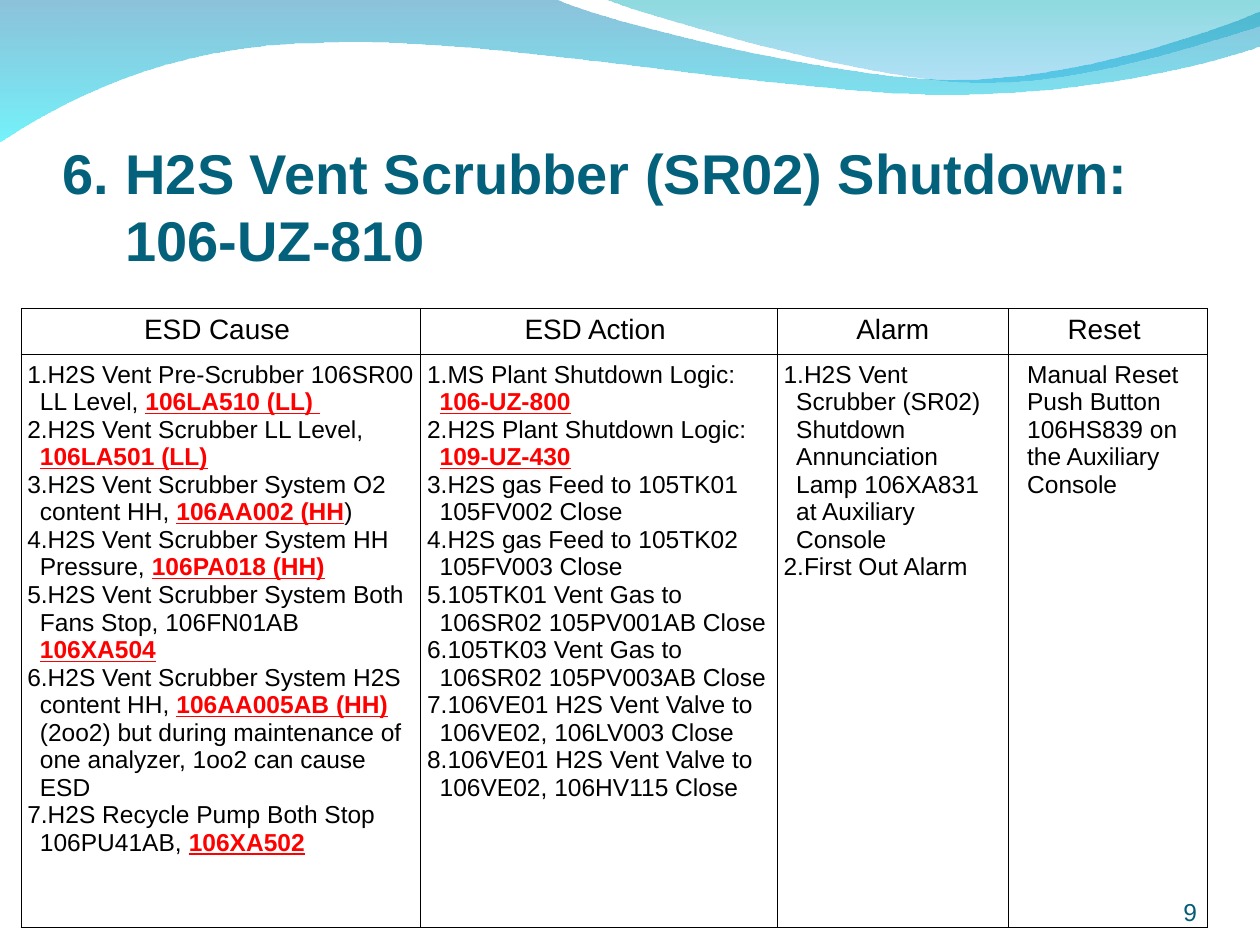
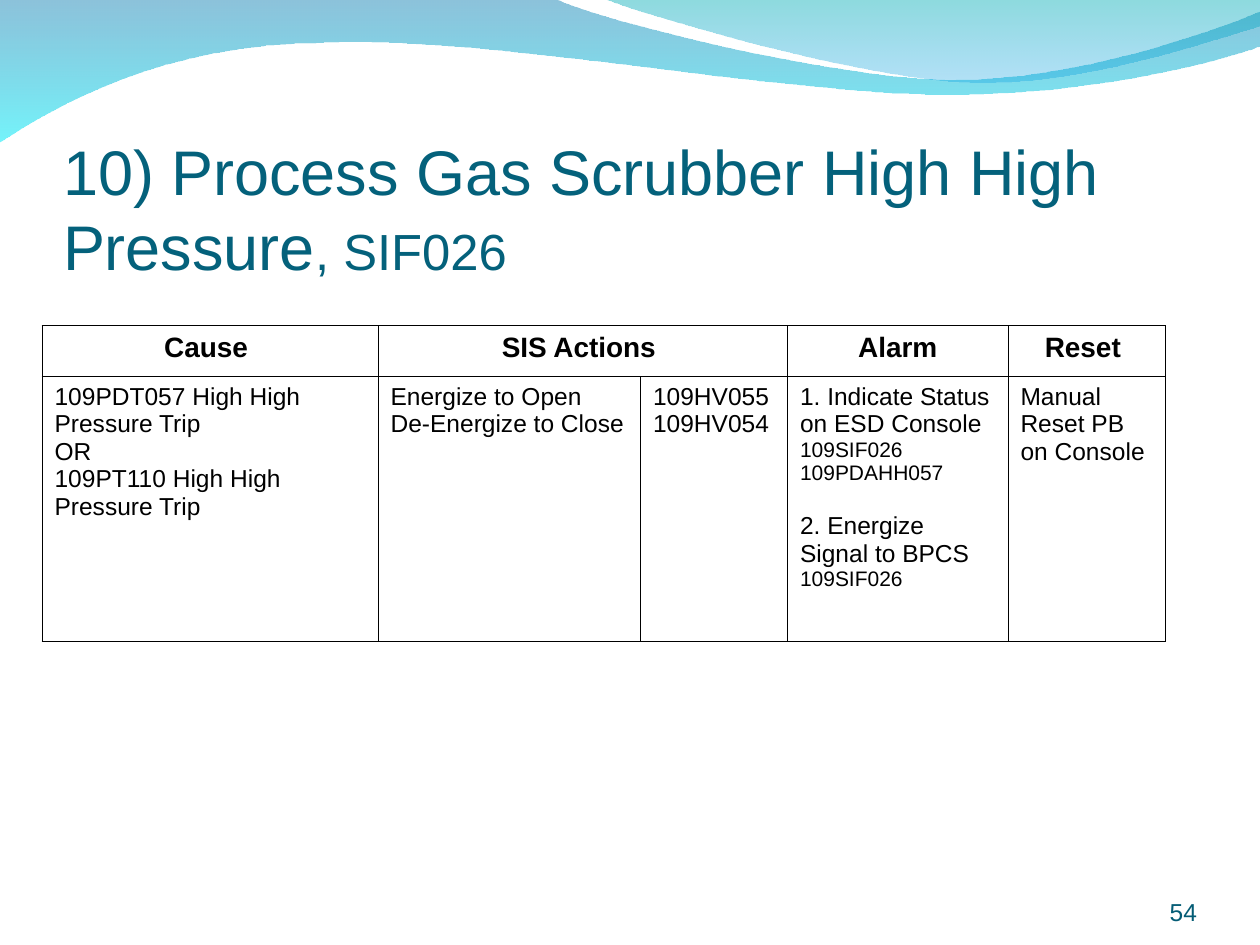
"""Build two shutdown-logic slides with a wave header, a title and a table."""
from dataclasses import dataclass
from typing import NamedTuple

from lxml import etree
from pptx import Presentation
from pptx.dml.color import RGBColor
from pptx.enum import text as enum_text
from pptx.oxml import ns
from pptx.util import Pt


@dataclass(frozen=True)
class Theme:
    """Colours, font and type sizes used on every slide."""
    font: str = "Arial"
    title: str = "04617B"
    number: str = "045C75"
    body: str = "000000"
    alert: str = "FF0000"
    title_size: float = 32
    title_large: float = 36
    title_note: float = 29
    header_size: float = 16
    body_size: float = 14
    small_size: float = 12
    border: float = 0.45


THEME = Theme()
ALIGN = enum_text.PP_ALIGN


class Span(NamedTuple):
    """A stretch of text in one format."""
    text: str
    size: float = THEME.body_size
    color: str = THEME.body
    bold: bool = False
    underline: bool = False


class Para(NamedTuple):
    """A paragraph with optional numbering, indent and space before."""
    spans: list[Span]
    align: ALIGN = ALIGN.LEFT
    indent: float = 0
    start: int = 0
    before: float = 0


class Stop(NamedTuple):
    """A gradient colour with its opacity in percent."""
    color: str
    opacity: int


class Wave(NamedTuple):
    """A closed outline of lines (2 numbers) and curves (6 numbers)."""
    start: tuple[float, float]
    segments: list[tuple[float, ...]]
    stops: tuple[Stop, Stop]


class Grid(NamedTuple):
    """A two-row table: place, sizes and cell contents."""
    left: float
    top: float
    widths: list[float]
    heights: list[float]
    margin: float
    headers: list[str]
    header_bold: bool
    cells: list[list[Para]]
    merge: tuple[int, int] | None = None


class Sheet(NamedTuple):
    """Everything that differs from slide to slide."""
    title: Para
    title_box: tuple[float, float, float, float]
    grid: Grid
    number: int


WAVES = [
    Wave((0, -0.7), [(317, -0.7), (343, 12, 478, 45.4, 546, 45.4),
                     (614, 45.4, 690, 19, 720, 6.5), (720.7, 26),
                     (708, 32, 626, 55, 537, 54), (447, 54, 275, 20, 185, 24.5),
                     (93, 25, 33, 60, -0.7, 81.4), (0, -0.7)],
         (Stop("0079AF", 45), Stop("00EBF8", 55))),
    Wave((345, -0.7), [(366, 8, 491, 44.6, 554, 46.8),
                       (616, 49.7, 692, 23, 720, 15), (720, 0), (345, -0.7)],
         (Stop("00ADB6", 45), Stop("009BE5", 30))),
]


def alert(content: str) -> Span:
    """Return a red, bold, underlined tag."""
    return Span(content, color=THEME.alert, bold=True, underline=True)


def item(*parts: str | Span) -> Para:
    """Return a numbered table entry."""
    spans = [Span(part) if isinstance(part, str) else part for part in parts]
    return Para(spans, indent=7.2, start=1)


def line(content: str, size: float = THEME.body_size, before: float = 0) -> Para:
    """Return a plain table line."""
    return Para([Span(content, size)], before=before)


def bend(shape, segments: list[tuple[float, ...]]) -> None:
    """Turn each run of three lines that stands for a curve into a curve."""
    lines = iter(list(shape.element.iter(ns.qn("a:lnTo"))))
    for segment in segments:
        parts = [next(lines) for _ in segment[::2]]
        if len(parts) == 3:
            curve = etree.Element(ns.qn("a:cubicBezTo"))
            parts[0].addprevious(curve)
            for part in parts:
                curve.append(part[0])
                part.getparent().remove(part)


def draw_wave(page, wave: Wave, order: int) -> None:
    """Draw a gradient wave behind the slide content."""
    points = [point for segment in wave.segments
              for point in zip(segment[::2], segment[1::2])]
    builder = page.shapes.build_freeform(*map(Pt, wave.start))
    builder.add_line_segments([(Pt(x), Pt(y)) for x, y in points], close=True)
    shape = builder.convert_to_shape()
    bend(shape, wave.segments)
    shape.shadow.inherit = False
    shape.line.fill.background()
    shape.fill.gradient()
    shape.fill.gradient_angle = 270
    for target, stop in zip(shape.fill.gradient_stops, wave.stops):
        target.color.rgb = RGBColor.from_string(stop.color)
    for color, stop in zip(shape.element.iter(ns.qn("a:srgbClr")), wave.stops):
        etree.SubElement(color, ns.qn("a:alpha"), val=str(stop.opacity * 1000))
    page.shapes.element.insert(2 + order, shape.element)


def add_numbering(para, content: Para) -> None:
    """Give a paragraph a hanging automatic number."""
    props = para._p.get_or_add_pPr()
    color = etree.SubElement(props, ns.qn("a:buClr"))
    etree.SubElement(color, ns.qn("a:srgbClr"), val=content.spans[0].color)
    etree.SubElement(props, ns.qn("a:buFont"), typeface=THEME.font)
    etree.SubElement(props, ns.qn("a:buAutoNum"), type="arabicPeriod",
                     startAt=str(content.start))
    props.set("indent", str(-Pt(content.indent)))


def write(frame, paras: list[Para]) -> None:
    """Fill a text frame run by run."""
    for index, content in enumerate(paras):
        para = frame.add_paragraph() if index else frame.paragraphs[0]
        para.alignment = content.align
        if content.start:
            add_numbering(para, content)
        if content.indent:
            para._p.get_or_add_pPr().set("marL", str(Pt(content.indent)))
        if content.before:
            para.space_before = Pt(content.before)
        for span in content.spans:
            for part, piece in enumerate(span.text.split("\n")):
                if part:
                    para.add_line_break()
                run = para.add_run()
                run.text = piece
                font = run.font
                font.name, font.size = THEME.font, Pt(span.size)
                font.bold, font.underline = span.bold, span.underline
                font.color.rgb = RGBColor.from_string(span.color)


def set_frame(frame, top_margin: float) -> None:
    """Anchor a wrapped text frame at the bottom, without side margins."""
    frame.word_wrap = True
    frame.auto_size = enum_text.MSO_AUTO_SIZE.NONE
    frame.vertical_anchor = enum_text.MSO_ANCHOR.BOTTOM
    frame.margin_left = frame.margin_right = frame.margin_bottom = 0
    frame.margin_top = Pt(top_margin)


def style_cell(cell, margin: float) -> None:
    """Give a cell thin borders, margins and no fill."""
    props = cell._tc.get_or_add_tcPr()
    for side in "LRTB":
        edge = etree.SubElement(props, ns.qn(f"a:ln{side}"), w=str(Pt(THEME.border)))
        fill = etree.SubElement(edge, ns.qn("a:solidFill"))
        etree.SubElement(fill, ns.qn("a:srgbClr"), val=THEME.body)
    cell.fill.background()
    cell.margin_left = cell.margin_right = Pt(margin)
    cell.margin_top = cell.margin_bottom = Pt(3.6)


def draw_grid(page, grid: Grid) -> None:
    """Draw the header row and the content row of a table."""
    table = page.shapes.add_table(
        2, len(grid.widths), Pt(grid.left), Pt(grid.top),
        Pt(sum(grid.widths)), Pt(sum(grid.heights))).table
    table.first_row = table.horz_banding = False
    for column, width in zip(table.columns, grid.widths):
        column.width = Pt(width)
    for row, height in zip(table.rows, grid.heights):
        row.height = Pt(height)
    for cell in table.iter_cells():
        style_cell(cell, grid.margin)
    if grid.merge:
        first, last = grid.merge
        table.cell(0, first).merge(table.cell(0, last))
    heads = [cell for cell in table.rows[0].cells if not cell.is_spanned]
    for cell, header in zip(heads, grid.headers):
        span = Span(header, THEME.header_size, bold=grid.header_bold)
        write(cell.text_frame, [Para([span], ALIGN.CENTER)])
    for cell, paras in zip(table.rows[1].cells, grid.cells):
        write(cell.text_frame, paras)


def draw_sheet(deck, sheet: Sheet) -> None:
    """Add one slide to the deck."""
    page = deck.slides.add_slide(deck.slide_layouts[5])
    for order, wave in enumerate(WAVES):
        draw_wave(page, wave, order)
    title = page.shapes.title
    title.left, title.top, title.width, title.height = map(Pt, sheet.title_box)
    set_frame(title.text_frame, 3.6)
    write(title.text_frame, [sheet.title])
    draw_grid(page, sheet.grid)
    box = page.shapes.add_textbox(Pt(624), Pt(500.5), Pt(60), Pt(28.8))
    set_frame(box.text_frame, 0)
    span = Span(str(sheet.number), color=THEME.number)
    write(box.text_frame, [Para([span], ALIGN.RIGHT)])


SHEETS = [
    Sheet(
        Para([Span("H2S Vent Scrubber (SR02) Shutdown:\n106-UZ-810",
                   THEME.title_size, THEME.title, True)], indent=36, start=6),
        (35.7, 66, 660, 90),
        Grid(12, 176.2, [228.5, 203.7, 132, 114], [26.5, 327], 3.6,
             ["ESD Cause ", "ESD Action ", "Alarm", "Reset "], False,
             [[item("H2S Vent Pre-Scrubber 106SR00 LL Level, ", alert("106LA510 (LL) ")),
               item("H2S Vent Scrubber LL Level, ", alert("106LA501 (LL)")),
               item("H2S Vent Scrubber System O2 content HH, ",
                    alert("106AA002 (HH"), ")"),
               item("H2S Vent Scrubber System HH Pressure, ", alert("106PA018 (HH)")),
               item("H2S Vent Scrubber System Both Fans Stop, 106FN01AB ",
                    alert("106XA504")),
               item("H2S Vent Scrubber System H2S content HH, ",
                    alert("106AA005AB (HH)"),
                    " (2oo2) but during maintenance of one analyzer, 1oo2 can cause ESD"),
               item("H2S Recycle Pump Both Stop 106PU41AB, ", alert("106XA502"))],
              [item("MS Plant Shutdown Logic: ", alert("106-UZ-800")),
               item("H2S Plant Shutdown Logic: ", alert("109-UZ-430")),
               item("H2S gas Feed to 105TK01 105FV002 Close"),
               item("H2S gas Feed to 105TK02 105FV003 Close"),
               item("105TK01 Vent Gas to 106SR02 105PV001AB Close"),
               item("105TK03 Vent Gas to 106SR02 105PV003AB Close"),
               item("106VE01 H2S Vent Valve to 106VE02, 106LV003 Close"),
               item("106VE01 H2S Vent Valve to 106VE02, 106HV115 Close")],
              [item("H2S Vent Scrubber (SR02) Shutdown Annunciation Lamp "
                    "106XA831 at Auxiliary Console"),
               item("First Out Alarm")],
              [Para([Span("Manual Reset Push Button 106HS839 on the "
                          "Auxiliary Console")], indent=7.2)]]),
        9),
    Sheet(
        Para([Span("10) Process Gas Scrubber High High Pressure",
                   THEME.title_large, THEME.title),
              Span(", SIF026", THEME.title_note, THEME.title)]),
        (36, 72, 648, 90),
        Grid(24, 186, [192, 150, 84, 126, 90], [29.3, 151.2], 7.2,
             ["Cause ", "SIS Actions ", "Alarm", "Reset "], True,
             [[line("109PDT057 High High Pressure Trip"), line("OR"),
               line("109PT110 High High Pressure Trip")],
              [line("Energize to Open"), line("De-Energize to Close")],
              [line("109HV055"), line("109HV054")],
              [line("1. Indicate Status on ESD Console"),
               line("109SIF026", THEME.small_size),
               line("109PDAHH057", THEME.small_size),
               line("2. Energize Signal to BPCS", before=15.6),
               line("109SIF026", THEME.small_size)],
              [line("Manual Reset PB on Console")]],
             merge=(1, 2)),
        54),
]


def main() -> None:
    """Build and save the deck."""
    deck = Presentation()
    deck.slide_width, deck.slide_height = Pt(720), Pt(540)
    for sheet in SHEETS:
        draw_sheet(deck, sheet)
    deck.save("out.pptx")


if __name__ == "__main__":
    main()
